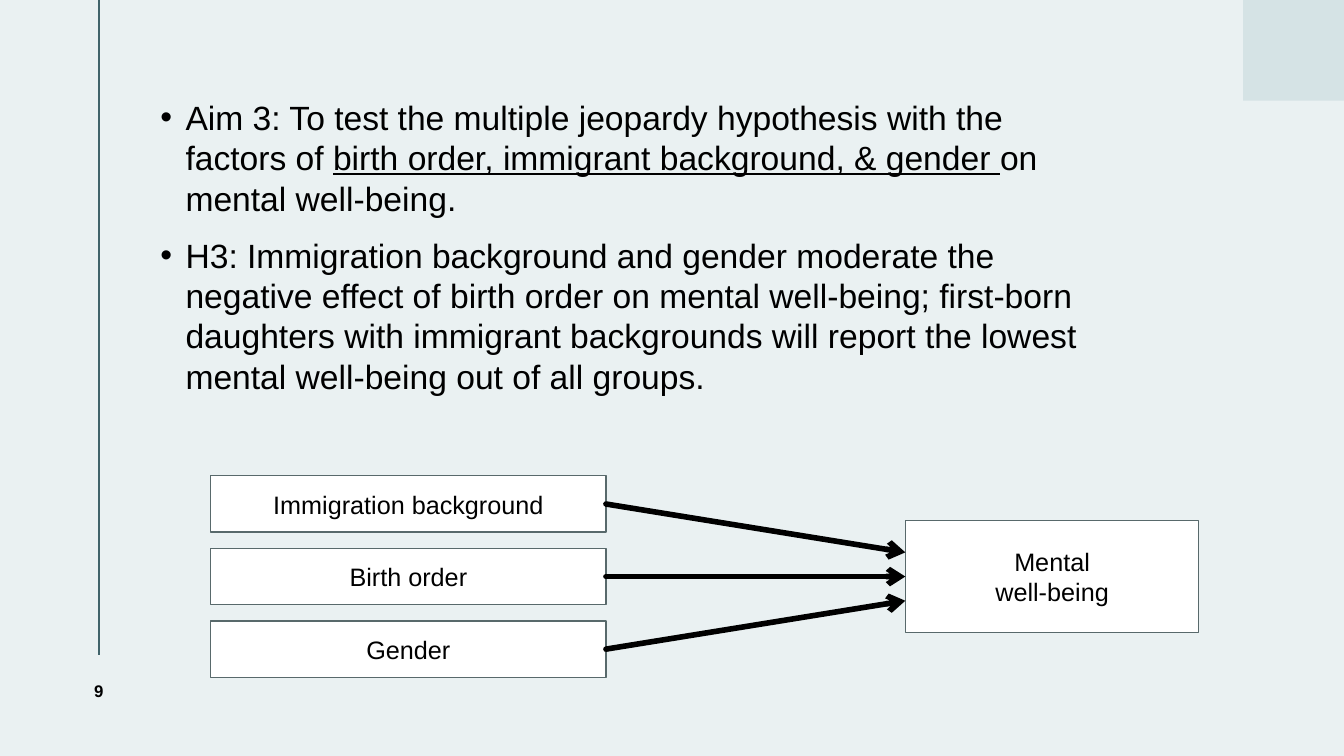
from lxml import etree
from pptx import Presentation
from pptx import util as u
from pptx.dml.color import RGBColor
from pptx.enum import shapes, text
from pptx.oxml.ns import qn

PAGE_WIDTH, PAGE_HEIGHT = 13.33, 7.5
FONT = "Arial"
BACKGROUND = RGBColor(0xEA, 0xF1, 0xF2)
RULE = RGBColor(0x40, 0x63, 0x6A)
CORNER = RGBColor(0xD5, 0xE3, 0xE5)
OUTLINE = RGBColor(0x58, 0x69, 0x6B)
WHITE = RGBColor(0xFF, 0xFF, 0xFF)
BLACK = RGBColor(0, 0, 0)

AIMS = [
    [("Aim 3: To test the multiple jeopardy hypothesis with the factors of ", False),
     ("birth order, immigrant background, & gender ", True),
     ("on mental well-being.", False)],
    [("H3: Immigration background and gender moderate the negative effect of "
      "birth order on mental well-being; first-born daughters with immigrant "
      "backgrounds will report the lowest mental well-being out of all groups.", False)],
]
FACTORS = ["Immigration background", "Birth order", "Gender"]
OUTCOME = ["Mental", "well-being"]


def add_span(para, words, size=18, bold=False, underline=False, spacing=0):
    span = para.add_run()
    span.text = words
    font = span.font
    font.name, font.size, font.bold, font.underline = FONT, u.Pt(size), bold, underline
    font.color.rgb = BLACK
    if spacing:
        span._r.get_or_add_rPr().set("spc", str(int(spacing * 100)))


def write_centred(frame, lines, **format):
    frame.word_wrap = True
    frame.vertical_anchor = text.MSO_ANCHOR.MIDDLE
    for index, words in enumerate(lines):
        para = frame.add_paragraph() if index else frame.paragraphs[0]
        para.alignment = text.PP_ALIGN.CENTER
        add_span(para, words, **format)


def add_box(page, box, fill, outline=None, lines=()):
    shape = page.shapes.add_shape(shapes.MSO_SHAPE.RECTANGLE, *map(u.Inches, box))
    shape.shadow.inherit = False
    shape.fill.solid()
    shape.fill.fore_color.rgb = fill
    if outline is None:
        shape.line.fill.background()
    else:
        shape.line.color.rgb = outline
        shape.line.width = u.Pt(1)
    write_centred(shape.text_frame, lines)


def add_line(page, start, end, color, width, arrow=False):
    line = page.shapes.add_connector(
        shapes.MSO_CONNECTOR.STRAIGHT, *map(u.Inches, (*start, *end)))
    line.line.color.rgb = color
    line.line.width = u.Pt(width)
    if arrow:
        stroke = line.line._get_or_add_ln()
        stroke.set("cap", "rnd")
        etree.SubElement(stroke, qn("a:tailEnd")).set("type", "arrow")
    etree.SubElement(line._element.spPr, qn("a:effectLst"))


def add_frame(page):
    page.background.fill.solid()
    page.background.fill.fore_color.rgb = BACKGROUND
    add_line(page, (0.98, 0), (0.98, 6.5), RULE, 1.5)
    add_box(page, (PAGE_WIDTH - 1, 0, 1, 1), CORNER)


def add_aims(page, box):
    frame = page.shapes.add_textbox(*map(u.Inches, box)).text_frame
    frame.word_wrap = True
    frame.margin_left = frame.margin_right = frame.margin_top = frame.margin_bottom = 0
    for index, aim in enumerate(AIMS):
        para = frame.add_paragraph() if index else frame.paragraphs[0]
        para.space_after = u.Pt(12)
        properties = para._p.get_or_add_pPr()
        properties.set("marL", str(u.Inches(0.25)))
        properties.set("indent", str(-u.Inches(0.25)))
        etree.SubElement(properties, qn("a:buFont")).set("typeface", FONT)
        etree.SubElement(properties, qn("a:buChar")).set("char", "•")
        for words, underline in aim:
            add_span(para, words, size=24, underline=underline)


def add_page_number(page, box, number):
    frame = page.shapes.add_textbox(*map(u.Inches, box)).text_frame
    write_centred(frame, [str(number)], size=12, bold=True, spacing=1.5)


def add_model(page, box):
    left, top, width, height = box
    factor_width, factor_height = 0.4 * width, 0.28 * height
    pitch = (height - factor_height) / (len(FACTORS) - 1)
    outcome_width, outcome_height = 0.297 * width, 0.555 * height
    outcome_left = left + width - outcome_width
    middle = top + height / 2
    for row, factor in enumerate(FACTORS):
        add_box(page, (left, top + row * pitch, factor_width, factor_height),
                WHITE, OUTLINE, [factor])
    add_box(page, (outcome_left, middle - outcome_height / 2, outcome_width, outcome_height),
            WHITE, OUTLINE, OUTCOME)
    for row in range(len(FACTORS)):
        offset = row - (len(FACTORS) - 1) / 2
        add_line(page, (left + factor_width, middle + offset * pitch),
                 (outcome_left, middle + offset * pitch / 3), BLACK, 4, arrow=True)


def main():
    deck = Presentation()
    deck.slide_width, deck.slide_height = u.Inches(PAGE_WIDTH), u.Inches(PAGE_HEIGHT)
    page = deck.slides.add_slide(deck.slide_layouts[6])
    add_frame(page)
    add_aims(page, (1.59, 0.96, 9.35, 3.25))
    add_page_number(page, (0.45, 6.5, 1.06, 0.71), 9)
    add_model(page, (2.09, 4.72, 9.8, 2))
    deck.save("out.pptx")


if __name__ == "__main__":
    main()
